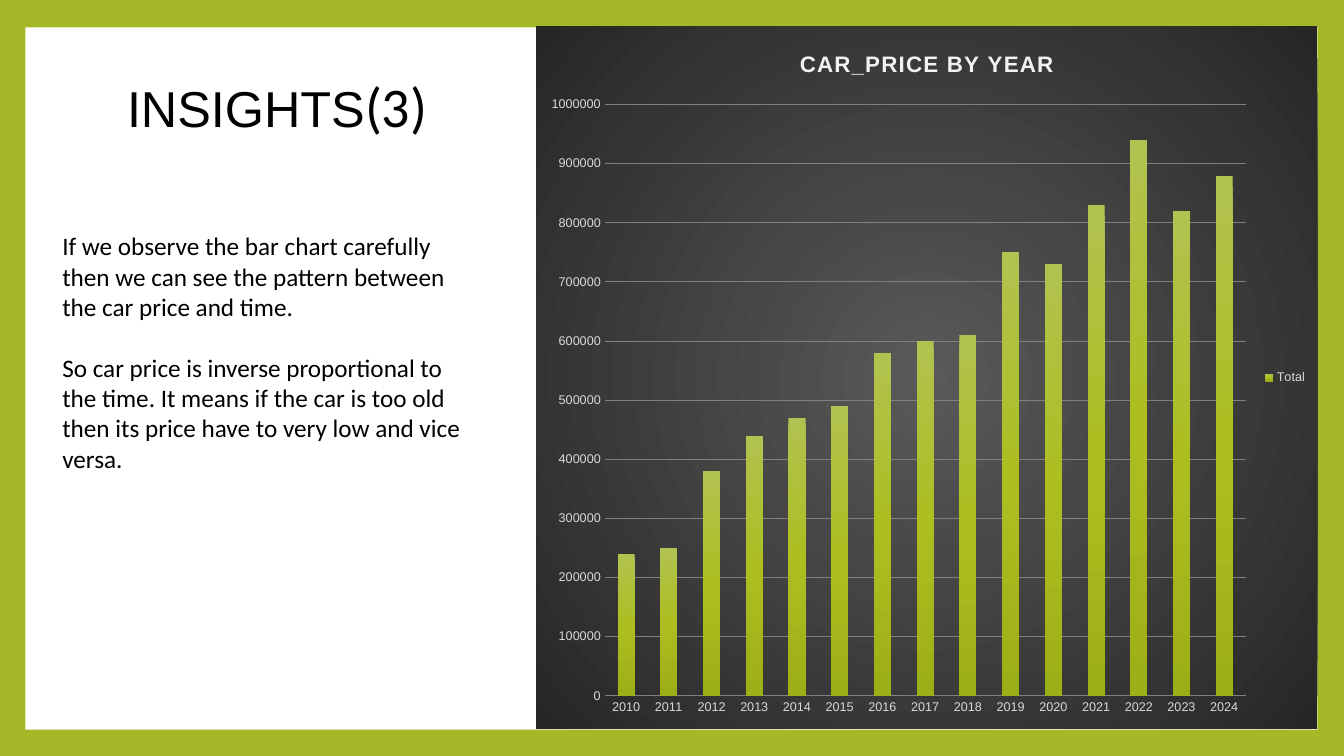
from dataclasses import dataclass

from lxml.etree import SubElement
from pptx import Presentation
from pptx.chart.data import CategoryChartData
from pptx.dml.color import RGBColor as Rgb
from pptx.enum.chart import XL_CHART_TYPE as ChartType, XL_LEGEND_POSITION as LegendPosition, XL_TICK_MARK as Tick
from pptx.enum.shapes import MSO_SHAPE as Preset
from pptx.enum.text import MSO_ANCHOR as Anchor, MSO_AUTO_SIZE as AutoSize, PP_ALIGN as Align
from pptx.oxml import parse_xml
from pptx.oxml.ns import nsdecls, qn
from pptx.util import Cm, Pt

HEADING = [("INSIGHTS", "heading"), ("(3)", "number")]
INSIGHTS = [
    "If we observe the bar chart carefully then we can see the pattern between the car price and time.",
    "So car price is inverse proportional to the time. It means if the car is too old "
    "then its price have to very low and vice versa.",
]
CHART_TITLE = "CAR_PRICE BY YEAR"
SERIES_NAME = "Total"
FIRST_YEAR = 2010
PRICES = [240000, 250000, 380000, 440000, 470000, 490000, 580000, 600000,
          610000, 750000, 730000, 830000, 940000, 820000, 880000]

SLIDE_SIZE = (33.87, 19.05)
PANEL_BOX = (0.64, 0.69, 32.56, 17.7)
CHART_BOX = (13.51, 0.66, 19.69, 17.7)
INSIGHTS_BOX = (1.32, 5.69, 10.67, 6.4)
HEADING_BOX = (2.82, 1.68, 8.33, 1.96)


@dataclass(frozen=True)
class Theme:
    """Colours, gradients and type styles of the slide."""
    frame = "A6B727"
    panel = "FFFFFF"
    grid = "808080"
    backdrop = ((0, "595959"), (100, "262626"))
    bars = ((0, "B2C251"), (50, "ACBE20"), (100, "9DAF16"))
    heading = {"name": "Arial", "size": Pt(36), "color": "000000", "bold": False}
    number = {"name": "Calibri", "size": Pt(40), "color": "000000", "bold": False}
    body = {"name": "Calibri", "size": Pt(18), "color": "000000"}
    chart = {"name": "Arial", "size": Pt(10), "color": "000000"}
    chart_title = {"name": "Arial", "size": Pt(16), "color": "F2F2F2", "bold": True}
    chart_label = {"name": "Arial", "size": Pt(9), "color": "D9D9D9", "bold": False}


THEME = Theme()


def place(box):
    """Return the four lengths of a box given in centimetres."""
    return [Cm(length) for length in box]


def style(font, formats):
    """Apply a type style to a font."""
    for attribute, value in formats.items():
        if attribute == "color":
            font.color.rgb = Rgb.from_string(value)
        else:
            setattr(font, attribute, value)


def paint(properties, stops, radial=False):
    """Add a gradient to shape properties."""
    gradient = SubElement(properties, qn("a:gradFill"), rotWithShape="1")
    stop_list = SubElement(gradient, qn("a:gsLst"))
    for position, colour in stops:
        stop = SubElement(stop_list, qn("a:gs"), pos=str(position * 1000))
        SubElement(stop, qn("a:srgbClr"), val=colour)
    if radial:
        circle = SubElement(gradient, qn("a:path"), path="circle")
        SubElement(circle, qn("a:fillToRect"), {side: "50000" for side in "ltrb"})
    else:
        SubElement(gradient, qn("a:lin"), ang="5400000", scaled="0")


def add_panel(slide):
    """Add the white panel inside the coloured frame."""
    panel = slide.shapes.add_shape(Preset.RECTANGLE, *place(PANEL_BOX))
    panel.shadow.inherit = False
    panel.fill.solid()
    panel.fill.fore_color.rgb = Rgb.from_string(THEME.panel)
    panel.line.fill.background()


def add_price_chart(slide):
    """Add the column chart of car prices by year."""
    prices = CategoryChartData()
    prices.categories = [str(FIRST_YEAR + offset) for offset in range(len(PRICES))]
    prices.add_series(SERIES_NAME, PRICES)
    chart = slide.shapes.add_chart(ChartType.COLUMN_CLUSTERED, *place(CHART_BOX), prices).chart
    style(chart.font, THEME.chart)

    caption = chart.chart_title.text_frame.paragraphs[0].add_run()
    caption.text = CHART_TITLE
    style(caption.font, THEME.chart_title)
    caption.font._element.set("spc", "100")
    chart.chart_title.include_in_layout = False

    chart.has_legend = True
    chart.legend.position = LegendPosition.RIGHT
    chart.legend.include_in_layout = False
    style(chart.legend.font, THEME.chart_label)

    for axis in (chart.category_axis, chart.value_axis):
        axis.major_tick_mark = axis.minor_tick_mark = Tick.NONE
        axis.format.line.fill.background()
        style(axis.tick_labels.font, THEME.chart_label)
    scale = {"minimum_scale": 0, "maximum_scale": 1000000, "major_unit": 100000}
    for attribute, value in scale.items():
        setattr(chart.value_axis, attribute, value)
    grid = chart.value_axis.major_gridlines.format.line
    grid.color.rgb = Rgb.from_string(THEME.grid)
    grid.width = Pt(0.75)

    plot = chart.plots[0]
    plot.gap_width = 150
    plot.vary_by_categories = False
    paint(plot.series[0]._element.get_or_add_spPr(), THEME.bars)

    backdrop = parse_xml(f"<c:spPr {nsdecls('c', 'a')}/>")
    paint(backdrop, THEME.backdrop, radial=True)
    SubElement(SubElement(backdrop, qn("a:ln")), qn("a:noFill"))
    chart._chartSpace.find(qn("c:chart")).addnext(backdrop)


def add_insights(slide):
    """Add the two paragraphs beside the chart."""
    frame = slide.shapes.add_textbox(*place(INSIGHTS_BOX)).text_frame
    frame.word_wrap = True
    frame.auto_size = AutoSize.SHAPE_TO_FIT_TEXT
    for index, insight in enumerate(INSIGHTS):
        paragraph = frame.add_paragraph() if index else frame.paragraphs[0]
        if index:
            paragraph.space_before = Pt(22)
        run = paragraph.add_run()
        run.text = insight
        style(run.font, THEME.body)


def set_heading(slide):
    """Fill the title placeholder and bring it in front of the panel."""
    heading = slide.shapes.title
    for side, length in zip(("left", "top", "width", "height"), place(HEADING_BOX)):
        setattr(heading, side, length)
    frame = heading.text_frame
    formats = {"word_wrap": True, "auto_size": AutoSize.SHAPE_TO_FIT_TEXT, "vertical_anchor": Anchor.TOP}
    for attribute, value in formats.items():
        setattr(frame, attribute, value)
    paragraph = frame.paragraphs[0]
    paragraph.alignment = Align.CENTER
    for words, role in HEADING:
        run = paragraph.add_run()
        run.text = words
        style(run.font, getattr(THEME, role))
    slide.shapes._spTree.append(heading._element)


def main():
    """Build the slide and save it."""
    deck = Presentation()
    deck.slide_width, deck.slide_height = place(SLIDE_SIZE)
    slide = deck.slides.add_slide(deck.slide_layouts.get_by_name("Title Only"))
    slide.background.fill.solid()
    slide.background.fill.fore_color.rgb = Rgb.from_string(THEME.frame)
    add_panel(slide)
    add_price_chart(slide)
    add_insights(slide)
    set_heading(slide)
    deck.save("out.pptx")


if __name__ == "__main__":
    main()
